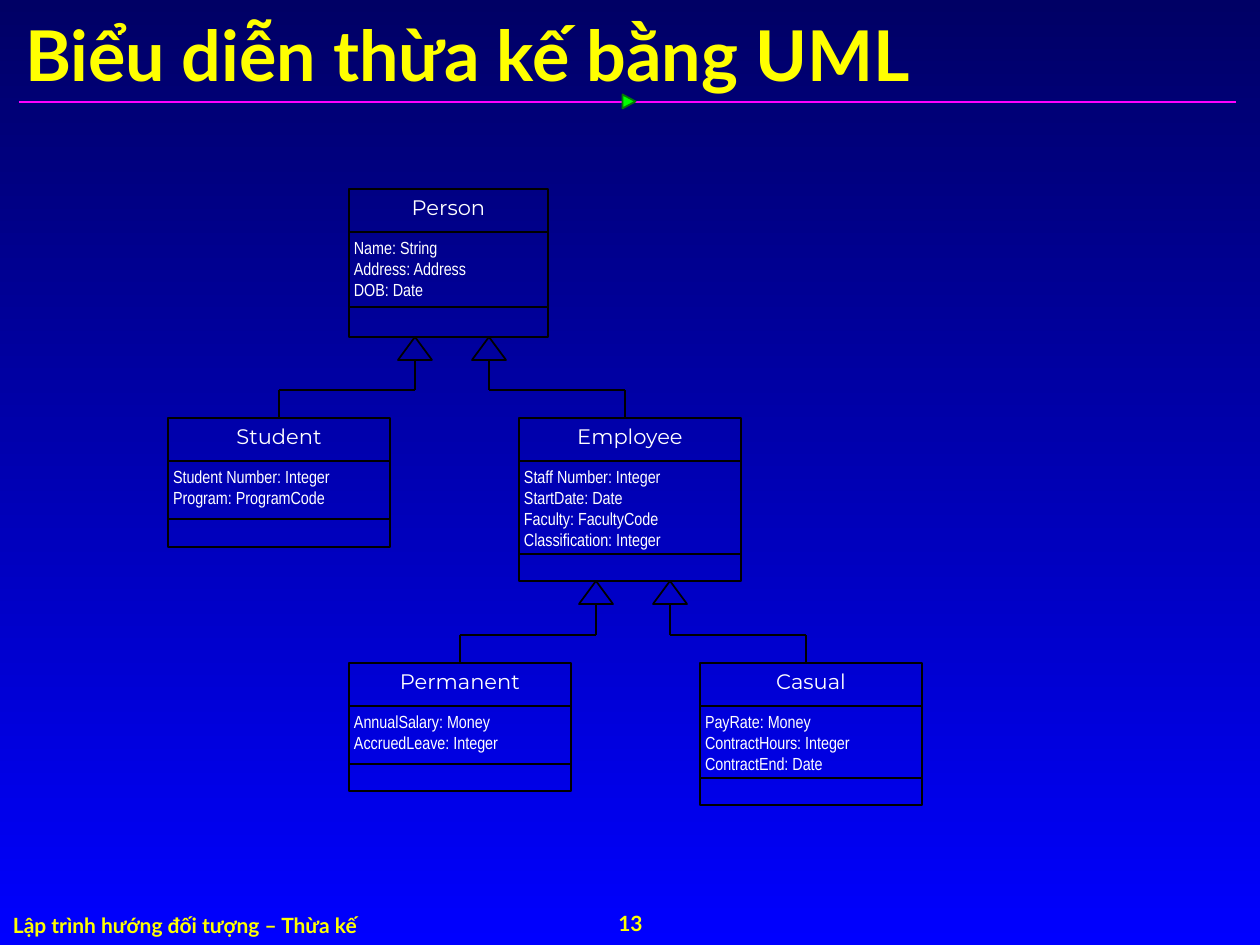
from copy import deepcopy

from lxml.etree import SubElement
from pptx import Presentation
from pptx.dml.color import RGBColor
from pptx.enum.shapes import MSO_CONNECTOR, MSO_SHAPE
from pptx.enum.text import MSO_ANCHOR, MSO_AUTO_SIZE, PP_ALIGN
from pptx.oxml.ns import qn
from pptx.util import Pt

EMU_PER_PX = 914400 / 126
YELLOW, WHITE, BLACK = "FFFF00", "FFFFFF", "000000"

TITLE = "Biểu diễn thừa kế bằng UML"
FOOTER = "Lập trình hướng đối tượng – Thừa kế"
PAGE_NUMBER = "13"

# name: (left, top, width, heights of attribute and method parts, attributes)
CLASSES = {
    "Person": (349, 189, 199, (75, 30), ["Name: String", "Address: Address", "DOB: Date"]),
    "Student": (168, 418, 222, (58, 28), ["Student Number: Integer", "Program: ProgramCode"]),
    "Employee": (519, 418, 222, (93, 27), ["Staff Number: Integer", "StartDate: Date",
                                           "Faculty: FacultyCode", "Classification: Integer"]),
    "Permanent": (349, 663, 222, (58, 27), ["AnnualSalary: Money", "AccruedLeave: Integer"]),
    "Casual": (700, 663, 222, (72, 27), ["PayRate: Money", "ContractHours: Integer",
                                         "ContractEnd: Date"]),
}
# parent, x of the arrow tip, child, x where the line leaves the child
INHERITANCE = [
    ("Person", 415, "Student", 279),
    ("Person", 489, "Employee", 625),
    ("Employee", 596, "Permanent", 460),
    ("Employee", 670, "Casual", 806),
]
NAME_HEIGHT = 43
ARROW_WIDTH, ARROW_HEIGHT = 34, 23
ELBOW_RISE = 28


def px(value):
    return round(value * EMU_PER_PX)


def color(value):
    return RGBColor.from_string(value)


def write(shape, text, size, font, fill, bold=False, align=PP_ALIGN.LEFT,
          anchor=MSO_ANCHOR.TOP, wrap=True, margins=(13, 6)):
    frame = shape.text_frame
    frame.auto_size = MSO_AUTO_SIZE.NONE
    frame.word_wrap = wrap
    frame.vertical_anchor = anchor
    frame.margin_left = frame.margin_right = px(margins[0])
    frame.margin_top = frame.margin_bottom = px(margins[1])
    paragraph = frame.paragraphs[0]
    paragraph.text = text
    paragraph.alignment = align
    for run in paragraph.runs:
        run.font.size = Pt(size)
        run.font.name = font
        run.font.bold = bold
        run.font.color.rgb = color(fill)
    # Line breaks need the run format too, or they set their own line height.
    run_format = paragraph.runs[0].font._element
    for line_break in paragraph._p.findall(qn("a:br")):
        line_break.append(deepcopy(run_format))


def add_shape(slide, kind, left, top, width, height, fill=None, line=BLACK):
    shape = slide.shapes.add_shape(kind, px(left), px(top), px(width), px(height))
    shape.shadow.inherit = False
    if fill:
        shape.fill.solid()
        shape.fill.fore_color.rgb = color(fill)
    else:
        shape.fill.background()
    shape.line.color.rgb = color(line)
    shape.line.width = Pt(1)
    return shape


def add_line(slide, start, end, line=BLACK):
    connector = slide.shapes.add_connector(
        MSO_CONNECTOR.STRAIGHT, *(px(value) for value in (*start, *end)))
    connector.line.color.rgb = color(line)
    connector.line.width = Pt(1)
    SubElement(connector._element.spPr, qn("a:effectLst"))
    return connector


def add_text(slide, left, top, width, height, text, **text_format):
    box = slide.shapes.add_textbox(px(left), px(top), px(width), px(height))
    write(box, text, **text_format)


def add_class(slide, name):
    """Stack the three parts of a class and return the top one."""
    left, top, width, lower_heights, attributes = CLASSES[name]
    parts = []
    for height in (NAME_HEIGHT, *lower_heights):
        parts.append(add_shape(slide, MSO_SHAPE.RECTANGLE, left, top, width, height))
        top += height
    write(parts[0], name, size=12, font="Montserrat", fill=WHITE, align=PP_ALIGN.CENTER)
    write(parts[1], "\n".join(attributes), size=10, font="Arial Narrow", fill=WHITE,
          margins=(5, 5))
    return parts[0]


def add_inheritance(slide, name_boxes, parent, tip_x, child, child_x):
    _, parent_top, _, lower_heights, _ = CLASSES[parent]
    child_left, child_top, child_width, _, _ = CLASSES[child]
    tip_y = parent_top + NAME_HEIGHT + sum(lower_heights)
    elbow_y = child_top - ELBOW_RISE
    riser = add_line(slide, (child_x, child_top), (child_x, elbow_y))
    if child_x == child_left + child_width / 2:
        riser.begin_connect(name_boxes[child], 0)
    add_line(slide, (child_x, elbow_y), (tip_x, elbow_y))
    add_line(slide, (tip_x, elbow_y), (tip_x, tip_y + ARROW_HEIGHT))
    add_shape(slide, MSO_SHAPE.ISOSCELES_TRIANGLE, tip_x - ARROW_WIDTH / 2, tip_y,
              ARROW_WIDTH, ARROW_HEIGHT)


def main():
    presentation = Presentation()
    presentation.slide_width, presentation.slide_height = px(1260), px(945)
    slide = presentation.slides.add_slide(presentation.slide_layouts[5])

    background = slide.background.fill
    background.gradient()
    background.gradient_angle = 270
    for stop, position, shade in zip(background.gradient_stops, (0, 1), ("000065", "0000FF")):
        stop.position = position
        stop.color.rgb = color(shade)

    title = slide.shapes.title
    title.left, title.top, title.width, title.height = px(12), px(17), px(1240), px(73)
    heading = dict(font="Lato", fill=YELLOW, bold=True)
    write(title, TITLE, size=40, anchor=MSO_ANCHOR.MIDDLE, **heading)

    add_line(slide, (19, 102), (1236, 102), line="FF01FF")
    marker = add_shape(slide, MSO_SHAPE.ISOSCELES_TRIANGLE, 622, 95, 14, 13,
                       fill="00FF00", line="037C03")
    marker.rotation = 90

    add_text(slide, 0, 907, 643, 38, FOOTER, size=12, **heading)
    add_text(slide, 431, 903, 399, 40, PAGE_NUMBER, size=12, align=PP_ALIGN.CENTER,
             anchor=MSO_ANCHOR.MIDDLE, wrap=False, **heading)

    name_boxes = {name: add_class(slide, name) for name in CLASSES}
    for link in INHERITANCE:
        add_inheritance(slide, name_boxes, *link)

    presentation.save("out.pptx")


if __name__ == "__main__":
    main()
